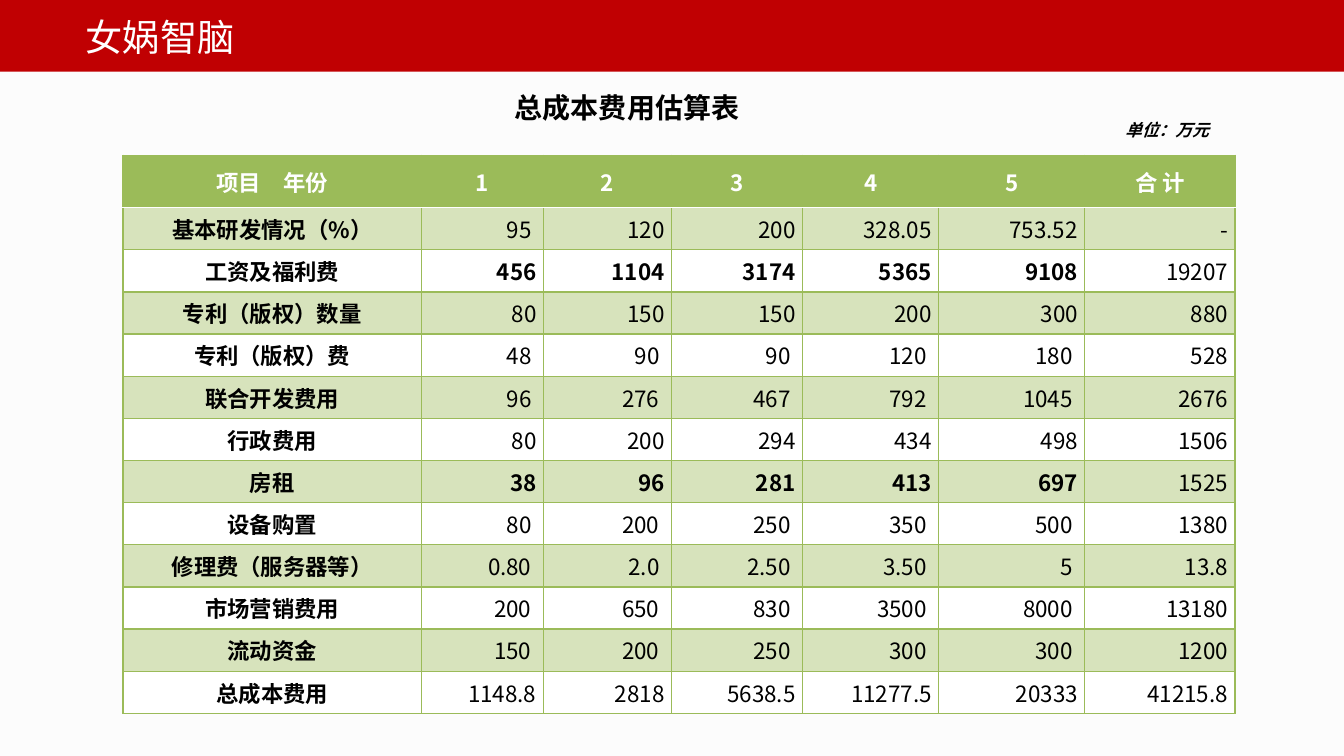
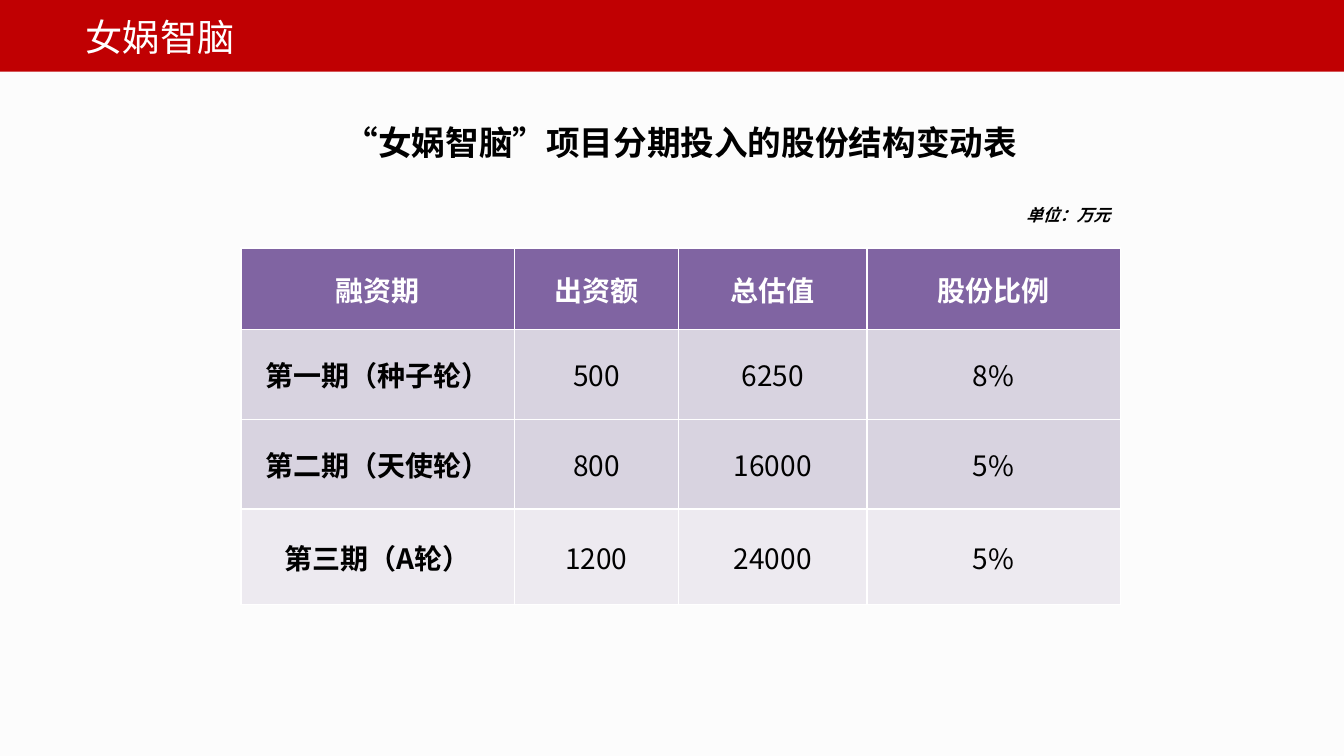
from lxml.etree import SubElement
from pptx import Presentation
from pptx.dml.color import RGBColor
from pptx.enum.shapes import MSO_SHAPE
from pptx.enum.text import MSO_ANCHOR, MSO_AUTO_SIZE, PP_ALIGN
from pptx.oxml.ns import qn
from pptx.util import Inches, Pt

PAGE_COLOR = RGBColor(0xFC, 0xFC, 0xFC)
RED = RGBColor(0xC0, 0x00, 0x02)
WHITE = RGBColor(0xFF, 0xFF, 0xFF)
BLACK = RGBColor(0x00, 0x00, 0x00)
GREEN = RGBColor(0x9B, 0xBB, 0x59)
PALE_GREEN = RGBColor(0xD7, 0xE3, 0xBC)
PURPLE = RGBColor(0x80, 0x64, 0xA2)
LILAC = RGBColor(0xD8, 0xD3, 0xE0)
PALE_LILAC = RGBColor(0xED, 0xEA, 0xF0)

LATIN = "Calibri"
CHINESE = "Noto Sans CJK SC"
PAGE_WIDTH, PAGE_HEIGHT = 13.33, 7.5
BLANK_LAYOUT = 6

COST_HEADER = ["项目　年份", "1", "2", "3", "4", "5", "合 计"]
COST_ROWS = [
    ["基本研发情况（%）", "95 ", "120", "200", "328.05", "753.52", "-"],
    ["工资及福利费", "456", "1104", "3174", "5365", "9108", "19207"],
    ["专利（版权）数量", "80", "150", "150", "200", "300", "880"],
    ["专利（版权）费", "48 ", "90 ", "90 ", "120 ", "180 ", "528"],
    ["联合开发费用", "96 ", "276 ", "467 ", "792 ", "1045 ", "2676"],
    ["行政费用", "80", "200", "294", "434", "498", "1506"],
    ["房租", "38", "96", "281", "413", "697", "1525"],
    ["设备购置", "80 ", "200 ", "250 ", "350 ", "500 ", "1380"],
    ["修理费（服务器等）", "0.80 ", "2.0 ", "2.50 ", "3.50 ", "5 ", "13.8"],
    ["市场营销费用", "200 ", "650 ", "830 ", "3500 ", "8000 ", "13180"],
    ["流动资金", "150 ", "200 ", "250 ", "300 ", "300 ", "1200"],
    ["总成本费用", "1148.8", "2818", "5638.5", "11277.5", "20333", "41215.8"],
]
BOLD_COST_ROWS = {"工资及福利费", "房租"}

SHARE_HEADER = ["融资期", "出资额", "总估值", "股份比例"]
SHARE_ROWS = [
    ["第一期（种子轮）", "500", "6250", "8%"],
    ["第二期（天使轮）", "800", "16000", "5%"],
    ["第三期（A轮）", "1200", "24000", "5%"],
]


def add_span(para, text, size, color, bold=False, italic=False, font=LATIN):
    """Add one run with its Latin and East Asian fonts."""
    span = para.add_run()
    span.text = text
    span.font.size = Pt(size)
    span.font.bold = bold
    span.font.italic = italic
    span.font.color.rgb = color
    span.font.name = font
    east_asian = SubElement(span.font._element, qn("a:ea"))
    east_asian.set("typeface", CHINESE)


def add_text(page, box, spans, size, color=BLACK, align=PP_ALIGN.LEFT, **style):
    """Add a one-paragraph text box; spans are (text, font) pairs."""
    frame = page.shapes.add_textbox(*map(Inches, box)).text_frame
    frame.word_wrap = True
    frame.auto_size = MSO_AUTO_SIZE.SHAPE_TO_FIT_TEXT
    para = frame.paragraphs[0]
    para.alignment = align
    for text, font in spans:
        add_span(para, text, size, color, font=font, **style)


def add_page(deck):
    """Add a page with the red title band."""
    page = deck.slides.add_slide(deck.slide_layouts[BLANK_LAYOUT])
    band = page.shapes.add_shape(
        MSO_SHAPE.RECTANGLE, 0, 0, Inches(PAGE_WIDTH), Inches(0.71))
    band.shadow.inherit = False
    band.fill.solid()
    band.fill.fore_color.rgb = RED
    band.line.fill.background()
    add_text(page, (0.75, 0.09, 12, 0.55), [("女娲智脑", CHINESE)], 26.6, WHITE)
    return page


def add_unit_note(page, right, top):
    """Add the unit note, ending at the given right edge."""
    width = 5.56
    add_text(page, (right - width, top, width, 0.3), [("单位：万元", LATIN)], 12,
             align=PP_ALIGN.RIGHT, bold=True, italic=True)


def set_borders(cell, colors):
    """Draw one-point borders; colors run left, right, top, bottom."""
    properties = cell._tc.get_or_add_tcPr()
    for side, color in zip("LRTB", colors):
        line = SubElement(properties, qn(f"a:ln{side}"), w=str(Pt(1)))
        fill = SubElement(line, qn("a:solidFill"))
        SubElement(fill, qn("a:srgbClr"), val=str(color))


def add_grid(page, left, top, widths, heights):
    """Add an unstyled table with the given column widths and row heights."""
    table = page.shapes.add_table(
        len(heights), len(widths), Inches(left), Inches(top),
        Inches(sum(widths)), Inches(sum(heights))).table
    table.horz_banding = False
    for column, width in zip(table.columns, widths):
        column.width = Inches(width)
    for row, height in zip(table.rows, heights):
        row.height = Inches(height)
    return table


def fill_cell(cell, text, size, color, fill, borders, bold, align):
    """Style one cell and write its text."""
    set_borders(cell, borders)
    cell.fill.solid()
    cell.fill.fore_color.rgb = fill
    cell.vertical_anchor = MSO_ANCHOR.MIDDLE
    cell.margin_left = cell.margin_right = Inches(0.07)
    cell.margin_top = cell.margin_bottom = 0
    para = cell.text_frame.paragraphs[0]
    para.alignment = align
    add_span(para, text, size, color, bold, font=CHINESE)


def add_cost_table(page, left, top):
    """Add the green cost table with right-aligned figures."""
    header_height, height = 0.52, 5.54
    row_height = (height - header_height) / len(COST_ROWS)
    table = add_grid(page, left, top, [2.96, 1.21, 1.27, 1.3, 1.35, 1.45, 1.49],
                     [header_height] + [row_height] * len(COST_ROWS))
    last = len(COST_HEADER) - 1
    for r, values in enumerate([COST_HEADER] + COST_ROWS):
        is_header = r == 0
        fill = GREEN if is_header else PALE_GREEN if r % 2 else WHITE
        borders = (GREEN, GREEN, WHITE if r == 1 else GREEN,
                   WHITE if is_header else GREEN)
        for c, text in enumerate(values):
            is_label = is_header or c == 0
            bold = is_label or (values[0] in BOLD_COST_ROWS and c < last)
            fill_cell(table.cell(r, c), text, 16, WHITE if is_header else BLACK,
                      fill, borders, bold,
                      PP_ALIGN.CENTER if is_label else PP_ALIGN.RIGHT)


def add_share_table(page, left, top):
    """Add the purple table of financing rounds."""
    table = add_grid(page, left, top, [2.71, 1.63, 1.87, 2.51],
                     [0.81, 0.89, 0.89, 0.95])
    fills = [PURPLE, LILAC, LILAC, PALE_LILAC]
    for r, (values, fill) in enumerate(zip([SHARE_HEADER] + SHARE_ROWS, fills)):
        for c, text in enumerate(values):
            fill_cell(table.cell(r, c), text, 20, BLACK if r else WHITE, fill,
                      [WHITE] * 4, r == 0 or c == 0, PP_ALIGN.CENTER)


def add_cost_page(deck):
    page = add_page(deck)
    add_text(page, (3.44, 0.85, 5.56, 0.44), [("总成本费用估算表", LATIN)], 20,
             align=PP_ALIGN.CENTER, bold=True)
    add_unit_note(page, 12.09, 1.14)
    add_cost_table(page, 1.22, 1.54)


def add_share_page(deck):
    page = add_page(deck)
    heading = [("“女娲智脑", LATIN), ("”", CHINESE),
               ("项目分期投入的股份结构变动表", LATIN)]
    add_text(page, (3.32, 1.16, 7.28, 0.5), heading, 24, bold=True)
    add_unit_note(page, 11.11, 1.98)
    add_share_table(page, 2.39, 2.46)


def main():
    deck = Presentation()
    deck.slide_width = Inches(PAGE_WIDTH)
    deck.slide_height = Inches(PAGE_HEIGHT)
    background = deck.slide_master.background.fill
    background.solid()
    background.fore_color.rgb = PAGE_COLOR
    add_cost_page(deck)
    add_share_page(deck)
    deck.save("out.pptx")


if __name__ == "__main__":
    main()
